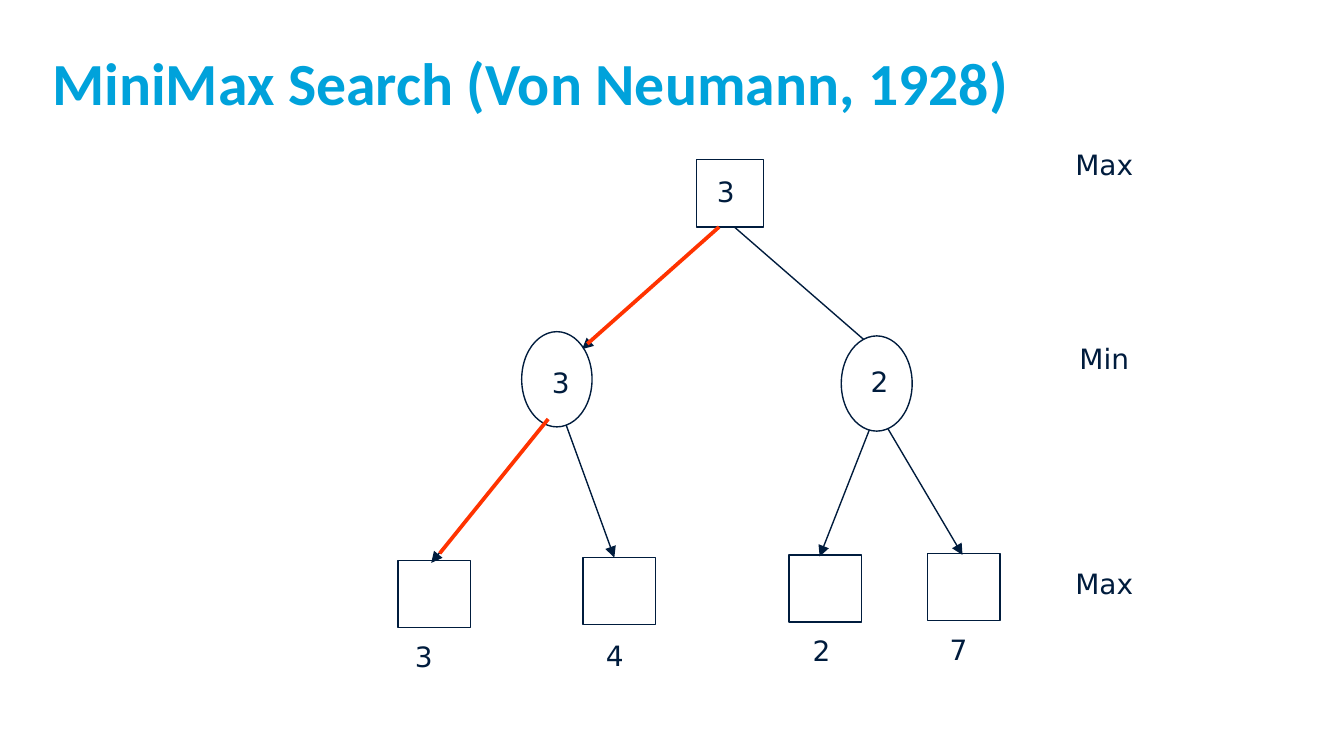
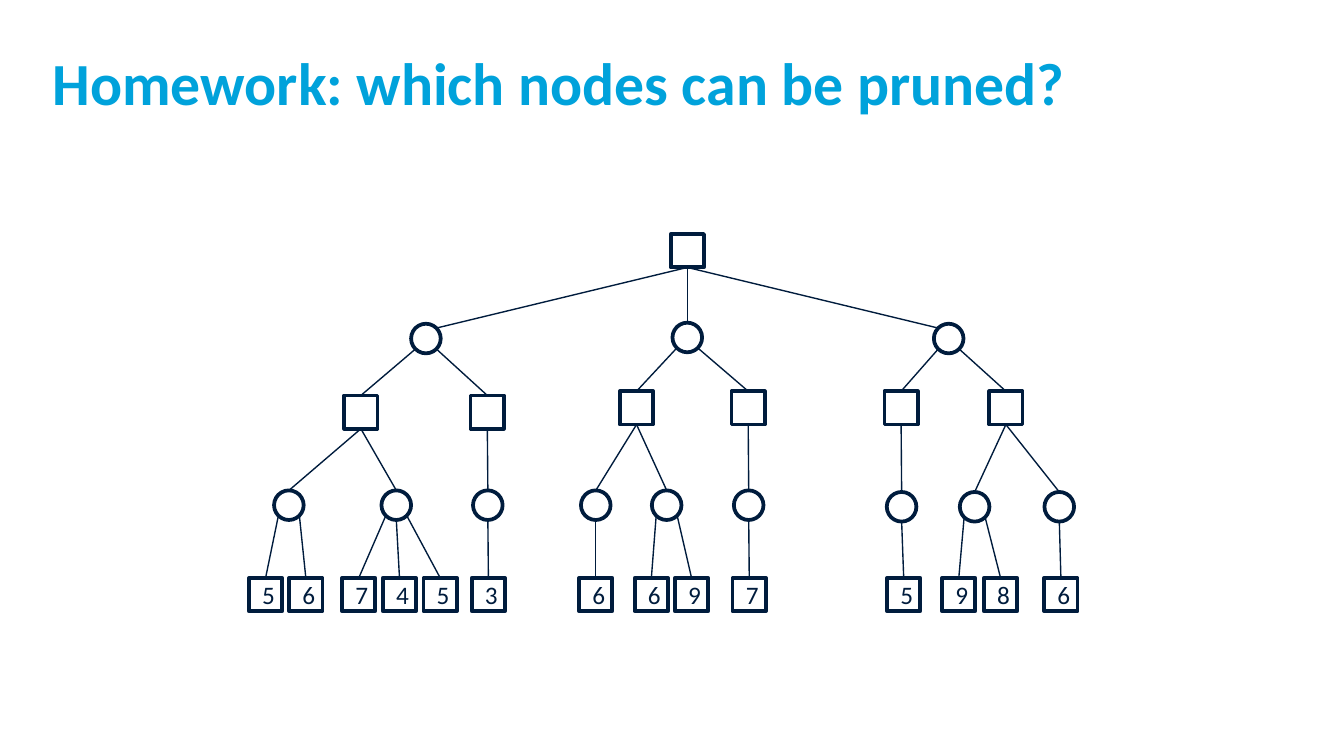
"""Build two slides on game trees: a MiniMax search and a pruning exercise."""
from lxml.etree import SubElement
from pptx import Presentation
from pptx.dml.color import RGBColor
from pptx.enum.shapes import MSO_CONNECTOR as Connector, MSO_SHAPE as Preset
from pptx.enum.text import MSO_ANCHOR as Anchor, MSO_AUTO_SIZE as AutoSize, PP_ALIGN as Align
from pptx.oxml.ns import qn
from pptx.util import Cm, Pt

NAVY, SKY, RED, WHITE = "001C3D", "00A2DB", "FF3300", "FFFFFF"
TITLE_FONT, LABEL_FONT = "Calibri", "DejaVu Sans"
TITLE_BOX = (0.99, 0.86, 23.14, 1.57)

MINIMAX_TITLE = "MiniMax Search (Von Neumann, 1928)"
LEAF_SIZE, LEAF_LABEL_SIZE = (1.37, 1.27), (0.76, 0.89)
LEAVES = [
    ("3", (7.52, 10.59), (7.59, 11.96)),
    ("4", (11.02, 10.54), (11.2, 11.94)),
    ("2", (14.91, 10.49), (15.11, 11.86)),
    ("7", (17.53, 10.46), (17.7, 11.84)),
]
ARROWS = [
    (10.46, 7.82, 8.15, 10.64),
    (10.64, 7.87, 11.61, 10.54),
    (16.51, 7.92, 15.49, 10.52),
    (16.69, 7.95, 18.19, 10.49),
    (13.64, 4.24, 11, 6.6),
    (13.82, 4.24, 16.51, 6.58),
]
BEST_MOVES = [(13.59, 4.29, 11.1, 6.5), (10.36, 7.92, 8.31, 10.46)]
INNER_NODES = [
    (Preset.OVAL, (15.9, 6.35, 1.34, 1.8)),
    (Preset.OVAL, (9.86, 6.27, 1.33, 1.8)),
    (Preset.RECTANGLE, (13.16, 3.02, 1.27, 1.27)),
]
MIN_VALUES = [("3", (10.06, 6.6, 0.84, 1.27)), ("2", (16.08, 6.58, 0.84, 1.27))]
ROOT_VALUE = ("3", (12.93, 3.18, 1.57, 0.89))
PLAYERS = [("Max", 2.67), ("Min", 6.32), ("Max", 10.59)]
PLAYER_LEFT, PLAYER_SIZE = 20.07, (1.6, 0.89)

HOMEWORK_TITLE = "Homework: which nodes can be pruned?"
SQUARE_SIDE, CIRCLE_SIDE = 0.63, 0.56
DIAGONAL = 0.71
ROOT = (12.99, 4.74)
BRANCHES = [
    ((6.4, 7.79, 9.55, 11.24), (8.05, [
        (6.82, [(5.46, [(5.02, "5"), (5.78, "6")]),
                (7.49, [(6.78, "7"), (7.55, "4"), (8.32, "5")])]),
        (9.21, [(9.22, [(9.23, "3")])])])),
    ((6.38, 7.71, 9.55, 11.24), (12.99, [
        (12.03, [(11.26, [(11.26, "6")]),
                 (12.6, [(12.31, "6"), (13.07, "9")])]),
        (14.14, [(14.15, [(14.16, "7")])])])),
    ((6.4, 7.71, 9.58, 11.24), (17.93, [
        (17.03, [(17.04, [(17.08, "5")])]),
        (19.01, [(18.42, [(18.12, "9"), (18.91, "8")]),
                 (20.02, [(20.05, "6")])])])),
]


def color(value):
    """Turn a hex string into a colour."""
    return RGBColor.from_string(value)


def write(shape, text, font_name, size, fill=NAVY, bold=False, align=Align.CENTER):
    """Write one formatted run into a shape."""
    paragraph = shape.text_frame.paragraphs[0]
    paragraph.alignment = align
    run = paragraph.add_run()
    run.text = text
    run.font.name, run.font.size, run.font.bold = font_name, Pt(size), bold
    run.font.color.rgb = color(fill)


def add_node(shapes, preset, box, width=0.75, fill=None):
    """Add an outlined shape; a width of 0 leaves out the outline."""
    shape = shapes.add_shape(preset, *map(Cm, box))
    shape.shadow.inherit = False
    if fill:
        shape.fill.solid()
        shape.fill.fore_color.rgb = color(fill)
    else:
        shape.fill.background()
    if width:
        shape.line.color.rgb = color(NAVY)
        shape.line.width = Pt(width)
    else:
        shape.line.fill.background()
    return shape


def add_edge(shapes, points, line_color=NAVY, width=0.75, arrow=False):
    """Add a straight line, with an arrowhead if asked."""
    connector = shapes.add_connector(Connector.STRAIGHT, *map(Cm, points))
    connector.line.color.rgb = color(line_color)
    connector.line.width = Pt(width)
    if arrow:
        SubElement(connector.line._get_or_add_ln(), qn("a:tailEnd"), type="triangle")
    SubElement(connector._element.spPr, qn("a:effectLst"))


def add_label(shapes, text, box, anchor=Anchor.TOP, wrap=True):
    """Add a centred text box that fits its text."""
    label = shapes.add_textbox(*map(Cm, box))
    frame = label.text_frame
    frame.word_wrap, frame.auto_size = wrap, AutoSize.SHAPE_TO_FIT_TEXT
    frame.vertical_anchor = anchor
    write(label, text, LABEL_FONT, 15)


def add_titled_slide(presentation, text):
    """Add a slide with the shared title style."""
    slide = presentation.slides.add_slide(presentation.slide_layouts[5])
    title = slide.shapes.title
    title.left, title.top, title.width, title.height = map(Cm, TITLE_BOX)
    frame = title.text_frame
    frame.margin_left = frame.margin_right = frame.margin_top = frame.margin_bottom = 0
    frame.word_wrap, frame.auto_size = True, AutoSize.NONE
    frame.vertical_anchor = Anchor.TOP
    write(title, text, TITLE_FONT, 32, SKY, True, Align.LEFT)
    return slide


def build_minimax(presentation):
    """Build the MiniMax slide."""
    shapes = add_titled_slide(presentation, MINIMAX_TITLE).shapes
    for value, corner, label_corner in LEAVES:
        add_node(shapes, Preset.RECTANGLE, corner + LEAF_SIZE)
        add_label(shapes, value, label_corner + LEAF_LABEL_SIZE)
    for points in ARROWS:
        add_edge(shapes, points, arrow=True)
    for preset, box in INNER_NODES:
        add_node(shapes, preset, box, fill=WHITE)
    for value, box in MIN_VALUES:
        shape = add_node(shapes, Preset.OVAL, box, width=0)
        shape.text_frame.vertical_anchor = Anchor.MIDDLE
        shape.text_frame.auto_size = AutoSize.SHAPE_TO_FIT_TEXT
        write(shape, value, LABEL_FONT, 15)
    add_label(shapes, *ROOT_VALUE)
    for player, top in PLAYERS:
        add_label(shapes, player, (PLAYER_LEFT, top) + PLAYER_SIZE, Anchor.MIDDLE, False)
    for points in BEST_MOVES:
        add_edge(shapes, points, RED, 2)


def rim_point(x, y, radius, side, direction):
    """Find the middle or diagonal point on a rim, above (-1) or below (1)."""
    reach = radius * DIAGONAL if side else radius
    return x + side * radius * DIAGONAL, y + direction * reach


def draw_tree(shapes, node, levels, depth):
    """Draw a node, its subtree and the edges between them."""
    x, content = node
    y = levels[depth]
    square = depth % 2 == 0
    side = SQUARE_SIDE if square else CIRCLE_SIDE
    preset = Preset.RECTANGLE if square else Preset.OVAL
    shape = add_node(shapes, preset, (x - side / 2, y - side / 2, side, side), 2)
    if isinstance(content, str):
        shape.text_frame.vertical_anchor = Anchor.MIDDLE
        write(shape, content, TITLE_FONT, 13.5)
        return
    for index, child in enumerate(content):
        draw_tree(shapes, child, levels, depth + 1)
        spread = 2 * index / (len(content) - 1) - 1 if len(content) > 1 else 0
        start = rim_point(x, y, side / 2, 0 if square else spread, 1)
        child_side = CIRCLE_SIDE if square else SQUARE_SIDE
        end = rim_point(child[0], levels[depth + 1], child_side / 2, 0, -1)
        add_edge(shapes, start + end)


def build_homework(presentation):
    """Build the pruning exercise slide."""
    shapes = add_titled_slide(presentation, HOMEWORK_TITLE).shapes.add_group_shape().shapes
    x, y = ROOT
    half = SQUARE_SIDE / 2
    add_node(shapes, Preset.RECTANGLE, (x - half, y - half, SQUARE_SIDE, SQUARE_SIDE), 2)
    for spread, (levels, branch) in zip((-1, 0, 1), BRANCHES):
        draw_tree(shapes, branch, (y,) + levels, 1)
        end = rim_point(branch[0], levels[0], CIRCLE_SIDE / 2, -spread, -1)
        add_edge(shapes, (x, y + half) + end)


def main():
    """Build and save the presentation."""
    presentation = Presentation()
    presentation.slide_width, presentation.slide_height = Cm(25.4), Cm(14.29)
    build_minimax(presentation)
    build_homework(presentation)
    presentation.save("out.pptx")


if __name__ == "__main__":
    main()
